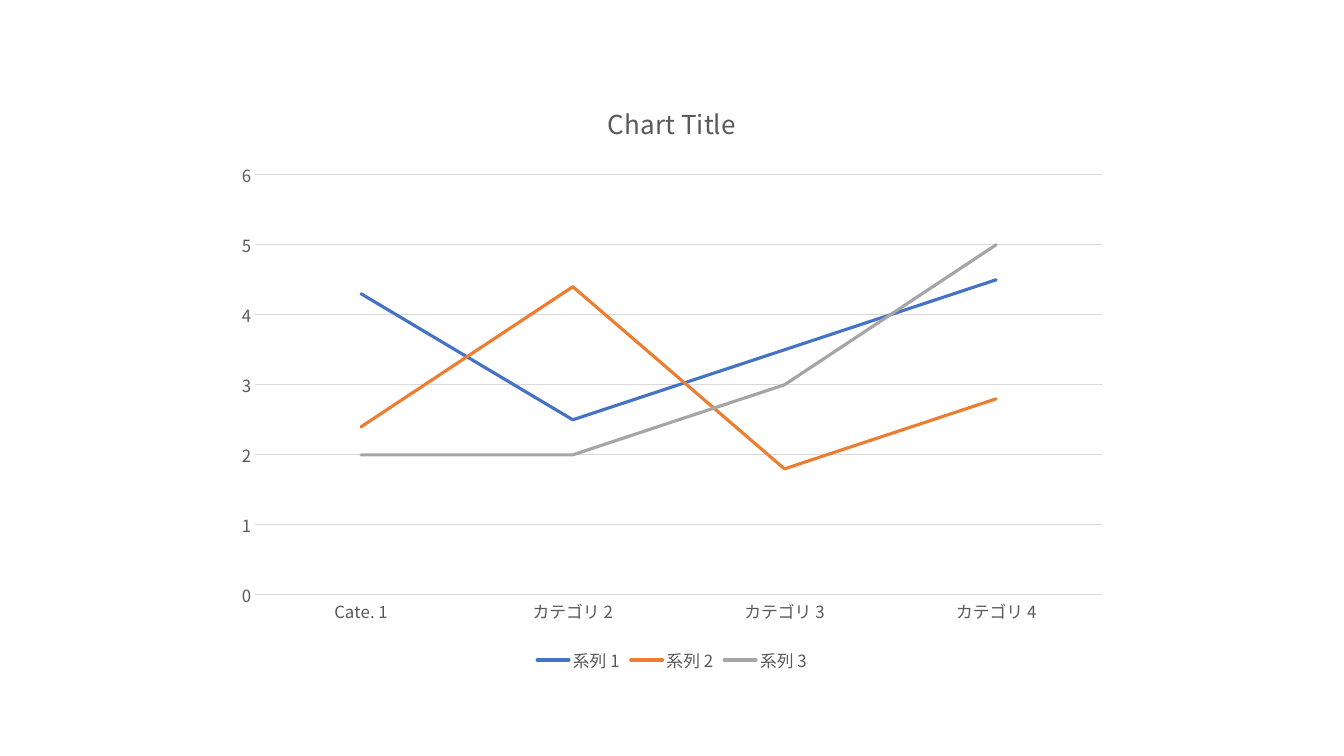
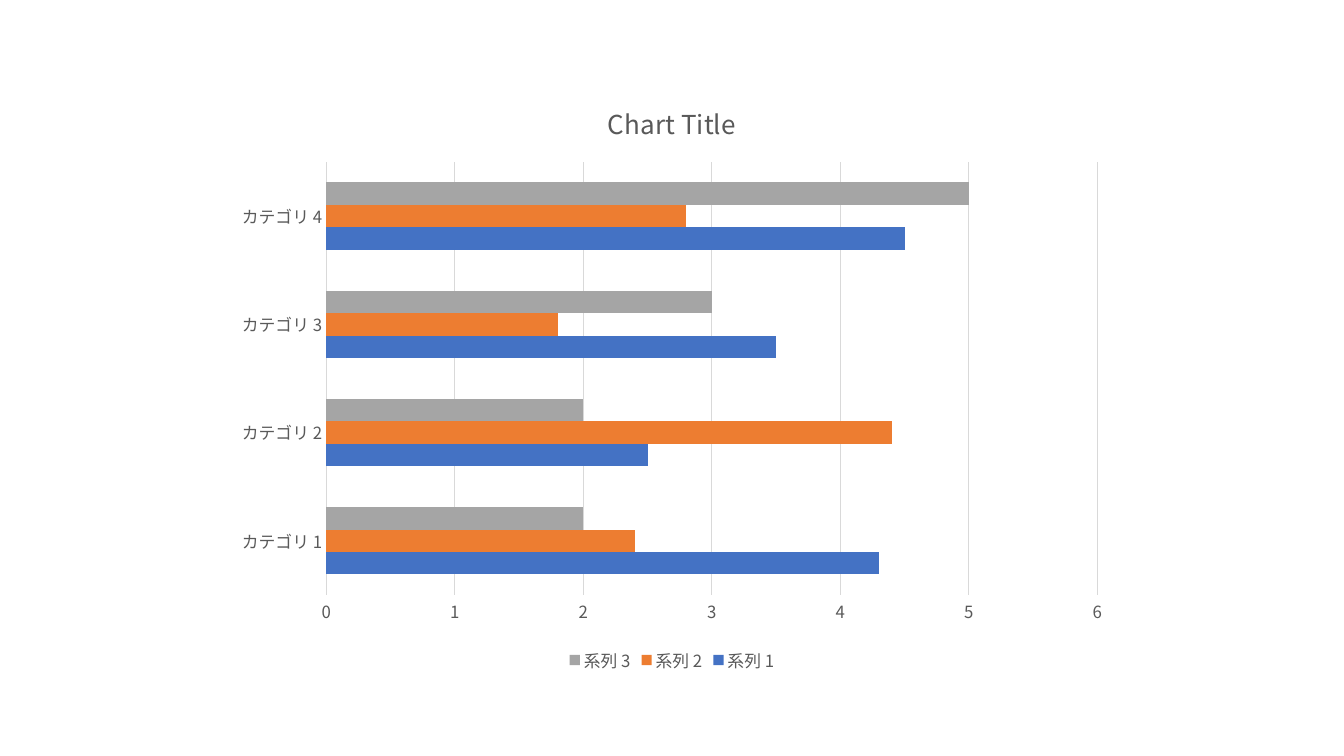
from lxml import etree
from pptx import Presentation
from pptx.chart.data import CategoryChartData
from pptx.dml.color import RGBColor
from pptx.enum.chart import XL_CHART_TYPE, XL_LEGEND_POSITION, XL_TICK_MARK
from pptx.oxml.ns import qn
from pptx.util import Inches, Pt

LINE = XL_CHART_TYPE.LINE
BAR = XL_CHART_TYPE.BAR_CLUSTERED
BOTTOM = XL_LEGEND_POSITION.BOTTOM
NO_TICKS = XL_TICK_MARK.NONE

SLIDE_WIDTH, SLIDE_HEIGHT = Inches(13.33), Inches(7.5)
BLANK_LAYOUT = 6
CHART_SHARE = (2 / 3, 0.79)  # of the slide's width and height

FONT = "Noto Sans CJK JP"
BLACK, TEXT_GREY, RULE_GREY = "000000", "595959", "D9D9D9"
CHART_TITLE = "Chart Title"
CATEGORIES = [f"カテゴリ {number}" for number in range(1, 5)]
SERIES = {
    "系列 1": ("4472C4", (4.3, 2.5, 3.5, 4.5)),
    "系列 2": ("ED7D31", (2.4, 4.4, 1.8, 2.8)),
    "系列 3": ("A5A5A5", (2, 2, 3, 5)),
}
VALUE_SCALE = {"minimum_scale": 0, "maximum_scale": 6, "major_unit": 1}


def set_attributes(target, values):
    """Set each attribute of target from a dict."""
    for name, value in values.items():
        setattr(target, name, value)


def hex_color(value):
    """Turn a hex string into a colour."""
    return RGBColor.from_string(value)


def format_font(font, size, color=TEXT_GREY):
    """Give a font the shared typeface, with a size and colour."""
    set_attributes(font, {"name": FONT, "size": Pt(size), "bold": False})
    font.color.rgb = hex_color(color)


def format_line(line, color, width):
    """Draw a solid line in one colour."""
    line.color.rgb = hex_color(color)
    line.width = Pt(width)


def use_font_for_japanese(chart):
    """Extend every Latin typeface of the chart to East Asian text."""
    for latin in list(chart.element.iter(qn("a:latin"))):
        east_asian = etree.Element(qn("a:ea"))
        east_asian.set("typeface", FONT)
        latin.addnext(east_asian)


def format_title(chart):
    """Write the chart's title."""
    chart.has_title = True
    frame = chart.chart_title.text_frame
    frame.text = CHART_TITLE
    format_font(frame.paragraphs[0].runs[0].font, 18.6)


def format_axes(chart):
    """Style both axes and the gridlines of the values."""
    category_axis, value_axis = chart.category_axis, chart.value_axis
    for axis in (category_axis, value_axis):
        set_attributes(axis, {"major_tick_mark": NO_TICKS,
                              "minor_tick_mark": NO_TICKS})
        format_font(axis.tick_labels.font, 12)
    format_line(category_axis.format.line, RULE_GREY, 0.75)
    set_attributes(value_axis, VALUE_SCALE)
    value_axis.has_major_gridlines = True
    value_axis.format.line.fill.background()
    format_line(value_axis.major_gridlines.format.line, RULE_GREY, 0.75)


def format_legend(chart):
    """Put the legend below the plot."""
    chart.has_legend = True
    set_attributes(chart.legend, {"position": BOTTOM,
                                  "include_in_layout": False})
    format_font(chart.legend.font, 12)


def format_series(chart, kind):
    """Colour the series as lines or as bars."""
    plot = chart.plots[0]
    plot.vary_by_categories = False
    if kind == BAR:
        set_attributes(plot, {"gap_width": 182, "overlap": 0})
    for series, (color, _) in zip(plot.series, SERIES.values()):
        if kind == LINE:
            series.smooth = False
            format_line(series.format.line, color, 2.25)
            for outline in series.format.element.iter(qn("a:ln")) if hasattr(
                    series.format, "element") else ():
                outline.set("cap", "rnd")
        else:
            series.invert_if_negative = False
            series.format.fill.solid()
            series.format.fill.fore_color.rgb = hex_color(color)


def round_line_ends(chart):
    """Give the lines of all series round ends."""
    for series in chart.element.iter(qn("c:ser")):
        for outline in series.iter(qn("a:ln")):
            outline.set("cap", "rnd")


def add_chart_slide(deck, kind, categories):
    """Add a slide with one centred chart of the shared series."""
    slide = deck.slides.add_slide(deck.slide_layouts[BLANK_LAYOUT])
    data = CategoryChartData()
    data.categories = categories
    for name, (_, values) in SERIES.items():
        data.add_series(name, values)
    width, height = (int(side * share) for side, share in
                     zip((SLIDE_WIDTH, SLIDE_HEIGHT), CHART_SHARE))
    left, top = (SLIDE_WIDTH - width) // 2, (SLIDE_HEIGHT - height) // 2
    chart = slide.shapes.add_chart(kind, left, top, width, height, data).chart
    format_font(chart.font, 10, BLACK)
    format_title(chart)
    format_axes(chart)
    format_legend(chart)
    format_series(chart, kind)
    if kind == LINE:
        round_line_ends(chart)
    use_font_for_japanese(chart)


def main():
    """Build the two chart slides."""
    deck = Presentation()
    set_attributes(deck, {"slide_width": SLIDE_WIDTH,
                          "slide_height": SLIDE_HEIGHT})
    add_chart_slide(deck, LINE, ["Cate. 1"] + CATEGORIES[1:])
    add_chart_slide(deck, BAR, CATEGORIES)
    deck.save("out.pptx")


main()
